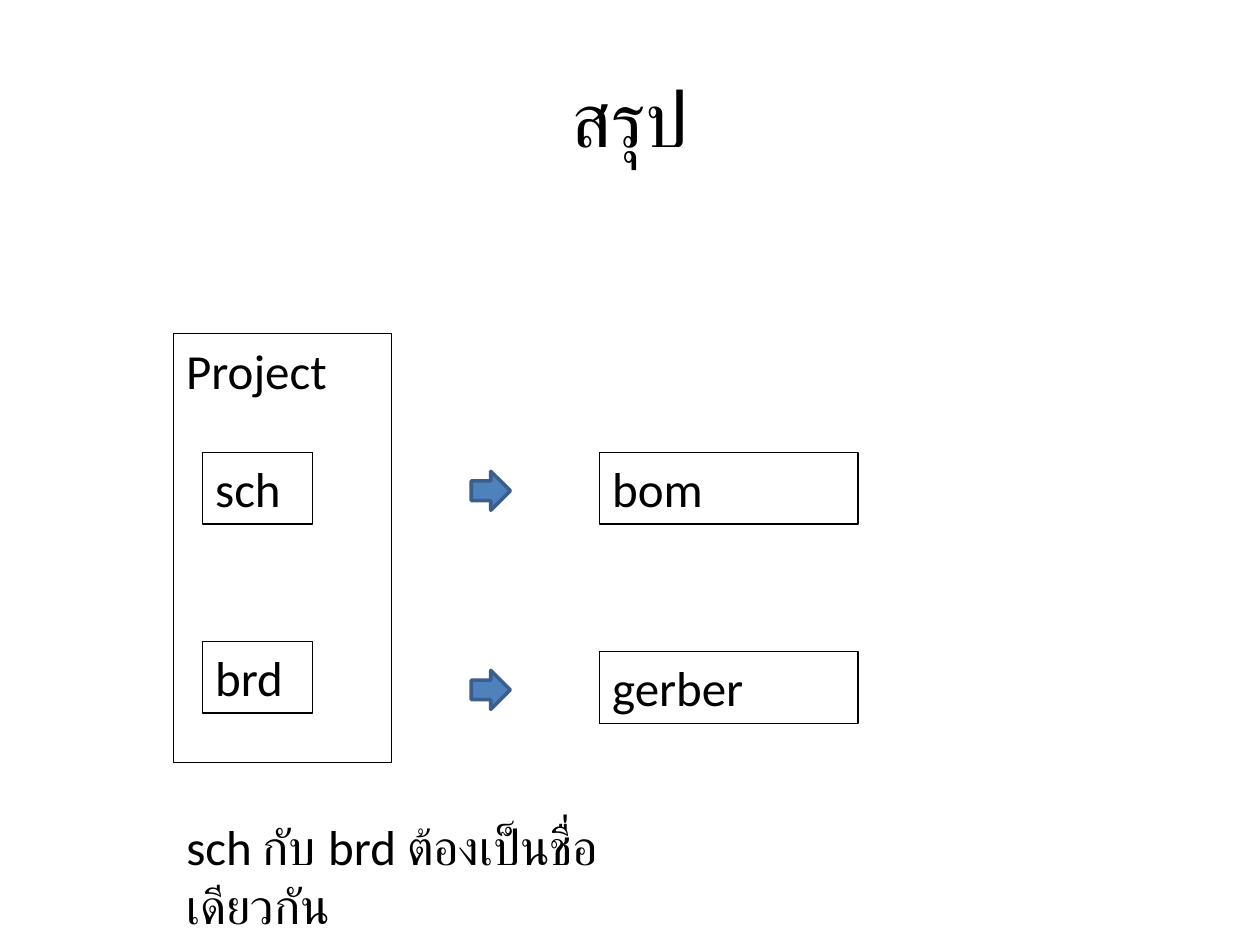
from pptx import Presentation
from pptx.dml.color import RGBColor
from pptx.enum.shapes import MSO_SHAPE
from pptx.enum.text import MSO_ANCHOR, PP_ALIGN
from pptx.util import Inches, Pt

COLORS = {"text": "000000", "arrow": "4F81BD", "arrow_line": "3A5F8C"}
FONT = "Calibri"

TITLE = "สรุป"
PROJECT = "Project"
NOTE = "sch กับ brd ต้องเป็นชื่อเดียวกัน"
# source file, its top, produced file, its top
CONVERSIONS = [("sch", 3.59, "bom", 3.59), ("brd", 5.09, "gerber", 5.17)]

LEFT = 1.38
SOURCE_LEFT, SOURCE_WIDTH = 1.61, 0.87
OUTPUT_LEFT, OUTPUT_WIDTH = 4.76, 2.05
BOX_HEIGHT = 0.57
ARROW_LEFT, ARROW_SIZE = 3.74, 0.31


def color(name):
    return RGBColor.from_string(COLORS[name])


def write(shape, text, size=28, align=PP_ALIGN.LEFT, anchor=MSO_ANCHOR.TOP):
    frame = shape.text_frame
    frame.word_wrap = True
    frame.vertical_anchor = anchor
    paragraph = frame.paragraphs[0]
    paragraph.alignment = align
    run = paragraph.add_run()
    run.text = text
    run.font.size = Pt(size)
    run.font.name = FONT
    run.font.color.rgb = color("text")


def add_outlined(slide, kind, left, top, width, height, line, line_width):
    shape = slide.shapes.add_shape(
        kind, Inches(left), Inches(top), Inches(width), Inches(height))
    shape.shadow.inherit = False
    shape.fill.background()
    shape.line.color.rgb = color(line)
    shape.line.width = Pt(line_width)
    return shape


def add_box(slide, text, left, top, width, height=BOX_HEIGHT):
    box = add_outlined(slide, MSO_SHAPE.RECTANGLE, left, top, width, height, "text", 0.75)
    write(box, text)


def add_arrow(slide, top):
    arrow = add_outlined(slide, MSO_SHAPE.RIGHT_ARROW, ARROW_LEFT, top,
                         ARROW_SIZE, ARROW_SIZE, "arrow_line", 2)
    arrow.fill.solid()
    arrow.fill.fore_color.rgb = color("arrow")


def add_text(slide, text, left, top, width, height, **style):
    box = slide.shapes.add_textbox(Inches(left), Inches(top), Inches(width), Inches(height))
    write(box, text, **style)


def main():
    presentation = Presentation()
    presentation.slide_width = Inches(10)
    presentation.slide_height = Inches(7.5)
    slide = presentation.slides.add_slide(presentation.slide_layouts[6])

    add_text(slide, TITLE, 0.5, 0.3, 9, 1.25,
             size=44, align=PP_ALIGN.CENTER, anchor=MSO_ANCHOR.MIDDLE)
    add_box(slide, PROJECT, LEFT, 2.65, 1.73, 3.4)
    for source, source_top, output, output_top in CONVERSIONS:
        add_box(slide, source, SOURCE_LEFT, source_top, SOURCE_WIDTH)
        add_arrow(slide, output_top + 0.15)
        add_box(slide, output, OUTPUT_LEFT, output_top, OUTPUT_WIDTH)
    add_text(slide, NOTE, LEFT, 6.43, 3.89, BOX_HEIGHT)

    presentation.save("out.pptx")


if __name__ == "__main__":
    main()
